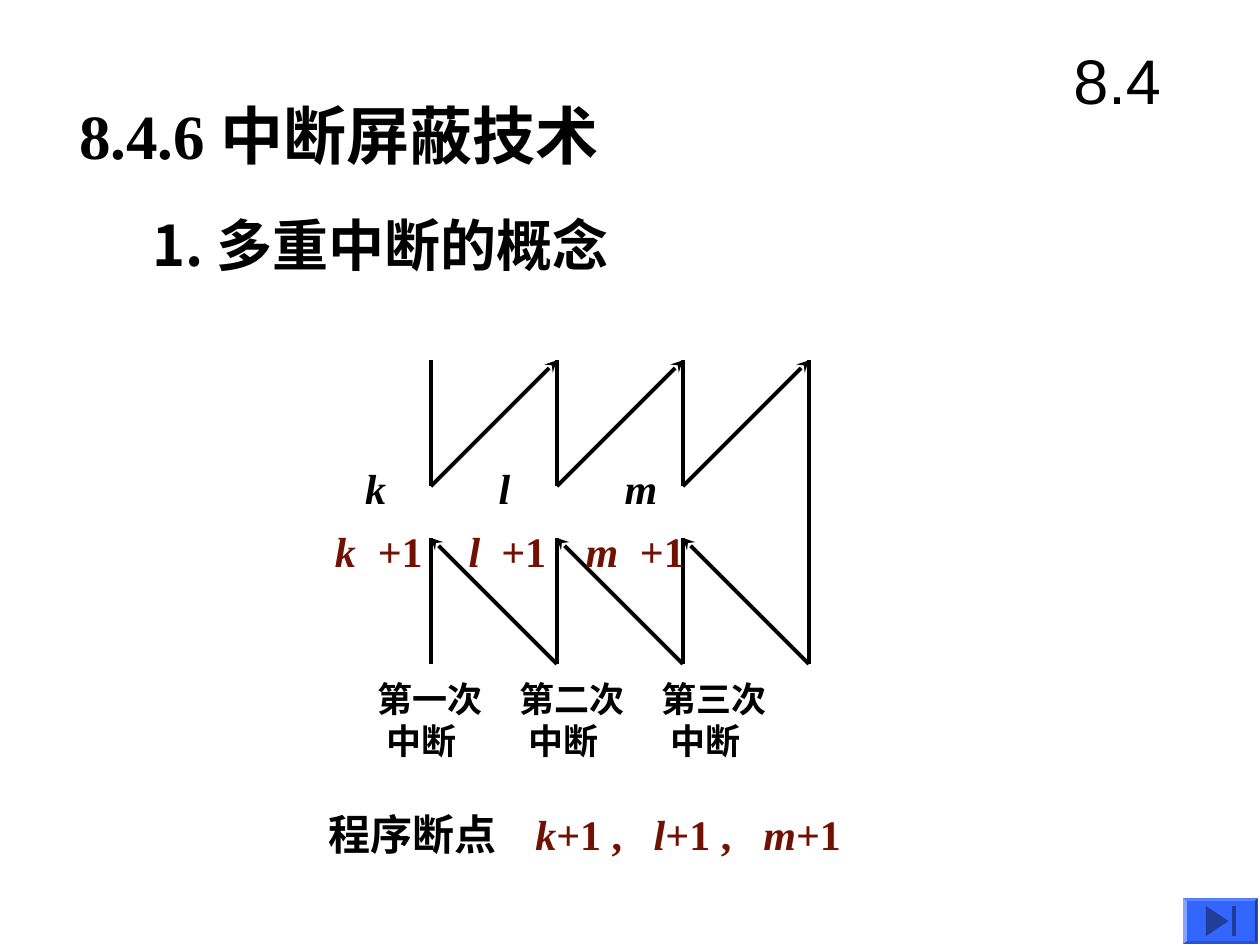
from lxml import etree
from pptx import Presentation
from pptx import util as u
from pptx.dml.color import RGBColor
from pptx.enum import shapes, text
from pptx.oxml.ns import qn

C = {"ink": "000000", "red": "711101", "button": "3366FF", "light": "5C85FF",
     "lighter": "85A3FF", "dark": "2952CC", "darker": "1F3D99"}
SERIF, SANS, CJK = "Times New Roman", "Arial", "Noto Sans CJK SC"

prs = Presentation()
prs.slide_width, prs.slide_height = u.Inches(10), u.Inches(7.5)
COL, ROW = prs.slide_width / 10, prs.slide_height / 7.5  # 10 x 7.5 grid
s = prs.slides.add_slide(prs.slide_layouts[6])


def add_text(x, y, w, h, paras, size, font=SERIF, bold=True,
             inset=True, middle=False, tabs=(), indents=()):
    """Each paragraph is a list of (text, colour, italic) runs."""
    sp = s.shapes.add_textbox(int(x * COL), int(y * ROW), int(w * COL), int(h * ROW))
    tf = sp.text_frame
    tf.word_wrap = True
    tf.margin_right = 0
    if middle:
        tf.vertical_anchor = text.MSO_ANCHOR.MIDDLE
    if not inset:
        tf.margin_left = tf.margin_top = tf.margin_bottom = 0
    for i, runs in enumerate(paras):
        p = tf.paragraphs[0] if i == 0 else tf.add_paragraph()
        pPr = p._p.get_or_add_pPr()
        if indents:
            pPr.set("marL", str(int(indents[i] * COL)))
            pPr.set("indent", "0")
        if tabs:
            tab_list = etree.SubElement(pPr, qn("a:tabLst"))
            for pos in tabs:
                etree.SubElement(tab_list, qn("a:tab"), pos=str(int(pos * COL)), algn="l")
        for words, color, italic in runs:
            r = p.add_run()
            r.text = words
            r.font.size, r.font.name = u.Pt(size), font
            r.font.bold, r.font.italic = bold, italic
            r.font.color.rgb = RGBColor.from_string(C[color])
            etree.SubElement(r._r.get_or_add_rPr(), qn("a:ea"), typeface=CJK)


def add_line(x1, y1, x2, y2, arrow=False):
    cn = s.shapes.add_connector(shapes.MSO_CONNECTOR.STRAIGHT, int(x1 * COL),
                                int(y1 * ROW), int(x2 * COL), int(y2 * ROW))
    cn.line.width = u.Pt(2.25)
    cn.line.color.rgb = RGBColor.from_string(C["ink"])
    if arrow:
        etree.SubElement(cn.line._get_or_add_ln(), qn("a:tailEnd"), type="stealth")
    etree.SubElement(cn._element.spPr, qn("a:effectLst"))


# Headings
add_text(0.53, 0.72, 4.44, 0.7, [[("8.4.6 中断屏蔽技术", "ink", False)]], 36)
add_text(1.21, 1.7, 3.8, 0.47, [[("1. 多重中断的概念", "ink", False)]], 32,
         font=CJK, inset=False, middle=True)
add_text(8.42, 0.17, 1.25, 0.92, [[("8.4", "ink", False)]], 36, font=SANS,
         bold=False, middle=True)

# Nested interrupts: calls go up to the right, returns up to the left
LEFT, TOP, BOTTOM = 3.42, 2.86, 5.27
for i in range(3):
    x = LEFT + i
    add_line(x, TOP, x, TOP + 1)
    add_line(x, TOP + 1, x + 1, TOP, arrow=True)
    add_line(x + 1, BOTTOM, x, BOTTOM - 1, arrow=True)
    add_line(x, BOTTOM - 1, x, BOTTOM)
add_line(LEFT + 3, TOP, LEFT + 3, BOTTOM)

# Breakpoint labels: name, left and width, then left, width and tab of the return
for name, x, w, back_x, back_w, tab in (("k", 2.8, 0.36, 2.56, 0.89, 0.34),
                                        ("l", 3.86, 0.29, 3.62, 0.81, 0.26),
                                        ("m", 4.86, 0.46, 4.55, 0.98, 0.43)):
    add_text(x, 3.62, w, 0.5, [[(name, "ink", True)]], 24)
    add_text(back_x, 4.12, back_w, 0.5,
             [[(name + "\t", "red", True), ("+1", "red", False)]], 24, tabs=[tab])

# Interrupt captions
for i, order in enumerate("一二三"):
    add_text(2.9 + 1.125 * i, 5.33, 1.03, 0.77,
             [[(f"第{order}次", "ink", False)], [("中断", "ink", False)]], 20,
             font=CJK, indents=(0, 0.07))

# Summary
runs = [("程序断点\t", "ink", False)]
for name, end in (("k", " ,\t"), ("l", " ,\t"), ("m", "")):
    runs += [(name, "red", True), ("+1" + end, "red", False)]
add_text(2.51, 6.37, 4.82, 0.5, [runs], 24, tabs=(1.64, 2.58, 3.45))

# Navigation button: face, four bevels, then the skip-to-end sign
L, T, R, B = 9.39, 7.13, 9.98, 7.49
l, t, r, b = L + 0.03, T + 0.02, R - 0.02, B - 0.02
for color, points in (
        ("button", [(L, T), (R, T), (R, B), (L, B)]),
        ("light", [(L, T), (R, T), (r, t), (l, t)]),
        ("darker", [(R, T), (R, B), (r, b), (r, t)]),
        ("dark", [(R, B), (L, B), (l, b), (r, b)]),
        ("lighter", [(L, B), (L, T), (l, t), (l, b)]),
        ("darker", [(9.75, 7.31), (9.57, 7.43), (9.57, 7.19)]),
        ("darker", [(9.78, 7.19), (9.78, 7.43), (9.81, 7.43), (9.81, 7.19)])):
    corners = [(int(x * COL), int(y * ROW)) for x, y in points]
    fb = s.shapes.build_freeform(*corners[0])
    fb.add_line_segments(corners[1:], close=True)
    sp = fb.convert_to_shape()
    sp.shadow.inherit = False
    sp.fill.solid()
    sp.fill.fore_color.rgb = RGBColor.from_string(C[color])
    sp.line.fill.background()

prs.save("out.pptx")
